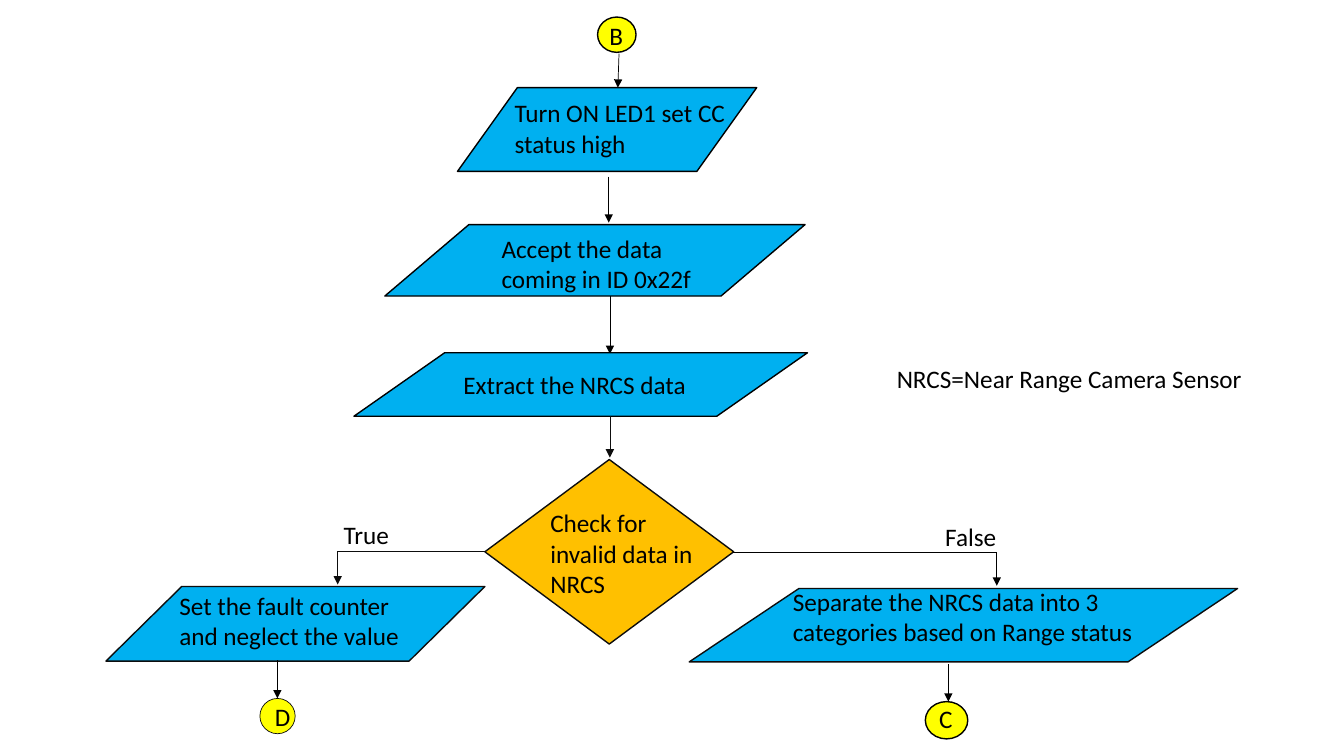
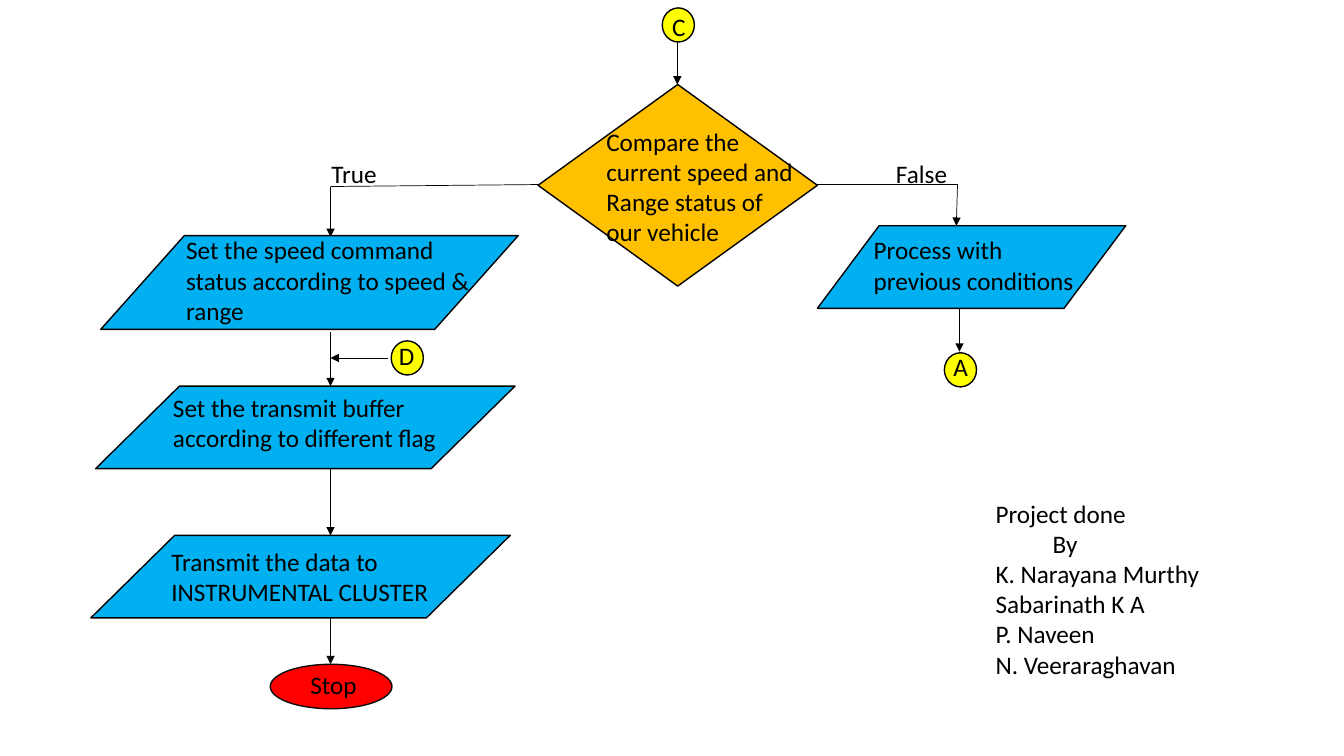
from lxml.etree import SubElement
from pptx import Presentation
from pptx.dml.color import RGBColor as RGB
from pptx.enum.shapes import MSO_CONNECTOR, MSO_SHAPE
from pptx.enum.text import MSO_ANCHOR, MSO_AUTO_SIZE, PP_ALIGN
from pptx.oxml.ns import qn
from pptx.util import Cm, Pt

COLORS = {"black": "000000", "soft": "0D0D0D", "yellow": "FFFF00",
          "blue": "00B0F0", "amber": "FFC000", "red": "FF0000"}
FONT = {"name": "Calibri", "size": Pt(18)}
KINDS = {  # kind: preset shape, fill colour
    "link": (MSO_SHAPE.OVAL, "yellow"),
    "step": (MSO_SHAPE.FLOWCHART_DATA, "blue"),
    "test": (MSO_SHAPE.DIAMOND, "amber"),
    "end": (MSO_SHAPE.OVAL, "red"),
}
LINE_HEIGHT, TEXT_MARGIN = 0.77, 0.25


def rgb(name):
    """Look up a palette colour."""
    return RGB.from_string(COLORS[name])


def write(p, text):
    """Put one formatted run in a paragraph."""
    r = p.add_run()
    r.text = text
    for key, value in FONT.items():
        setattr(r.font, key, value)
    r.font.color.rgb = rgb("black")


def label(slide, x, y, w, text, rows=1):
    """Add a wrapped text box; line breaks in text start paragraphs."""
    h = TEXT_MARGIN + LINE_HEIGHT * rows
    tf = slide.shapes.add_textbox(Cm(x), Cm(y), Cm(w), Cm(h)).text_frame
    for key, value in {"word_wrap": True,
                       "auto_size": MSO_AUTO_SIZE.SHAPE_TO_FIT_TEXT}.items():
        setattr(tf, key, value)
    for i, line in enumerate(text.split("\n")):
        write(tf.add_paragraph() if i else tf.paragraphs[0], line)
    return tf


def node(slide, kind, box, text, inner=None, rows=1, ink="black", width=1):
    """Draw a flowchart node; inner is its label's offset x, y and width."""
    shape, fill = KINDS[kind]
    sp = slide.shapes.add_shape(shape, *map(Cm, box))
    sp.shadow.inherit = False
    sp.fill.solid()
    sp.fill.fore_color.rgb = rgb(fill)
    sp.line.color.rgb = rgb(ink)
    sp.line.width = Pt(width)
    if inner:
        dx, dy, w = inner
        label(slide, box[0] + dx, box[1] + dy, w, text, rows)
    else:
        tf = sp.text_frame
        tf.vertical_anchor = MSO_ANCHOR.MIDDLE
        tf.paragraphs[0].alignment = PP_ALIGN.CENTER
        write(tf.paragraphs[0], text)


def route(slide, *points, ink="black"):
    """Join the points with thin lines, the last one ending in an arrow."""
    for start, end in zip(points, points[1:]):
        line = slide.shapes.add_connector(
            MSO_CONNECTOR.STRAIGHT, *map(Cm, start + end))
        line.line.color.rgb = rgb(ink)
        line.line.width = Pt(0.5)
        if end == points[-1]:
            SubElement(line.line._get_or_add_ln(), qn("a:tailEnd"),
                       type="triangle")
        SubElement(line._element.spPr, qn("a:effectLst"))


def drop(slide, x, top, bottom, ink="black"):
    """Draw an arrow straight down."""
    route(slide, (x, top), (x, bottom), ink=ink)


def sensor_slide(slide):
    """Flow from B: read the sensor data and check that it is valid."""
    node(slide, "link", (15.06, 0.43, 0.97, 0.89), "B", (0.05, -0.05, 0.86))
    route(slide, (15.6, 1.35), (15.57, 2.21))
    node(slide, "step", (11.53, 2.21, 7.54, 2.11),
         "Turn ON LED1 set CC status high", (1.19, 0.13, 5.97), 2)
    drop(slide, 15.34, 4.45, 5.61)
    node(slide, "step", (9.7, 5.66, 10.59, 1.8),
         "Accept the data coming in ID 0x22f", (2.69, 0.1, 5.72), 2)
    drop(slide, 15.37, 7.47, 8.92)
    node(slide, "step", (8.92, 8.89, 11.43, 1.6),
         "Extract the NRCS data", (2.51, 0.3, 6.2))
    drop(slide, 15.37, 10.49, 11.53, "soft")
    node(slide, "test", (12.22, 11.58, 6.27, 4.65),
         "Check for invalid data in NRCS", (1.4, 1.09, 4.14), 3, "soft")
    label(slide, 22.35, 9.02, 9.4, "NRCS=Near Range Camera Sensor")

    route(slide, (12.22, 13.89), (8.51, 13.89), (8.51, 14.73), ink="soft")
    label(slide, 8.41, 12.95, 2.54, "True")
    node(slide, "step", (2.67, 14.78, 9.55, 1.88),
         "Set the fault counter and neglect the value",
         (1.6, -0.03, 6.76), 2, "soft")
    drop(slide, 6.99, 16.64, 17.6)
    node(slide, "link", (6.55, 17.6, 0.89, 0.89), "D", ink="soft", width=0.5)

    route(slide, (18.47, 13.93), (25.12, 13.93), (25.12, 14.76))
    label(slide, 23.57, 13, 2.54, "False")
    node(slide, "step", (17.37, 14.83, 13.82, 1.85),
         "Separate the NRCS data into 3 categories based on Range status",
         (2.36, -0.18, 9.32), 2, "soft")
    drop(slide, 23.9, 16.74, 17.68)
    node(slide, "link", (23.32, 17.68, 1.07, 0.94), "C", (0.1, -0.08, 0.89))


def speed_slide(slide):
    """Flow from C: compare speed with range and transmit the result."""
    node(slide, "link", (16.69, 0.2, 0.81, 0.86), "C", (0, -0.05, 0.81))
    drop(slide, 17.07, 1.07, 2.13)
    node(slide, "test", (13.56, 2.13, 7.04, 5.08),
         "Compare the current speed and Range status of our vehicle",
         (1.47, 0.92, 5.36), 4)

    route(slide, (13.56, 4.65), (8.33, 4.7), (8.33, 5.97))
    label(slide, 8.1, 3.86, 3.73, "True")
    node(slide, "step", (2.54, 5.94, 10.52, 2.36),
         "Set the speed command status according to speed & range",
         (1.9, -0.15, 7.77), 3)
    drop(slide, 8.33, 8.36, 9.73)
    route(slide, (9.78, 9.02), (8.33, 9.02))
    node(slide, "link", (9.86, 8.59, 0.81, 0.86), "D", (-0.06, -0.13, 0.81))
    node(slide, "step", (2.41, 9.73, 10.57, 2.08),
         "Set the transmit buffer according to different flag",
         (1.7, 0.02, 7.72), 2)
    drop(slide, 8.33, 11.81, 13.49)
    node(slide, "step", (2.29, 13.49, 10.57, 2.08),
         "Transmit the data to INSTRUMENTAL CLUSTER", (1.78, 0.15, 7.04), 2)
    drop(slide, 8.33, 15.57, 16.74, "soft")
    node(slide, "end", (6.81, 16.74, 3.07, 1.12), "Stop",
         (0.76, 0, 1.8), ink="soft")

    route(slide, (20.6, 4.65), (24.13, 4.65), (24.1, 5.69))
    label(slide, 22.33, 3.86, 3.73, "False")
    node(slide, "step", (20.6, 5.69, 7.77, 2.08),
         "Process with previous conditions", (1.17, 0.1, 5.89), 2)
    drop(slide, 24.18, 7.77, 8.86)
    node(slide, "link", (23.8, 8.89, 0.81, 0.86), "A", (-0.02, -0.15, 1.45))
    credits_block(slide, 24.84, 12.42, 7.04)


def credits_block(slide, x, y, w):
    """List the project team, with the word By indented."""
    lines = ["Project done", "By", "K. Narayana Murthy", "Sabarinath K A",
             "P. Naveen", "N. Veeraraghavan"]
    tf = label(slide, x, y, w, "\n".join(lines), len(lines))
    by = tf.paragraphs[1]._p.get_or_add_pPr()
    by.set("marL", str(Cm(1.44)))
    by.set("indent", "0")


prs = Presentation()
prs.slide_width, prs.slide_height = Cm(33.87), Cm(19.05)
for build in (sensor_slide, speed_slide):
    build(prs.slides.add_slide(prs.slide_layouts[6]))
prs.save("out.pptx")
